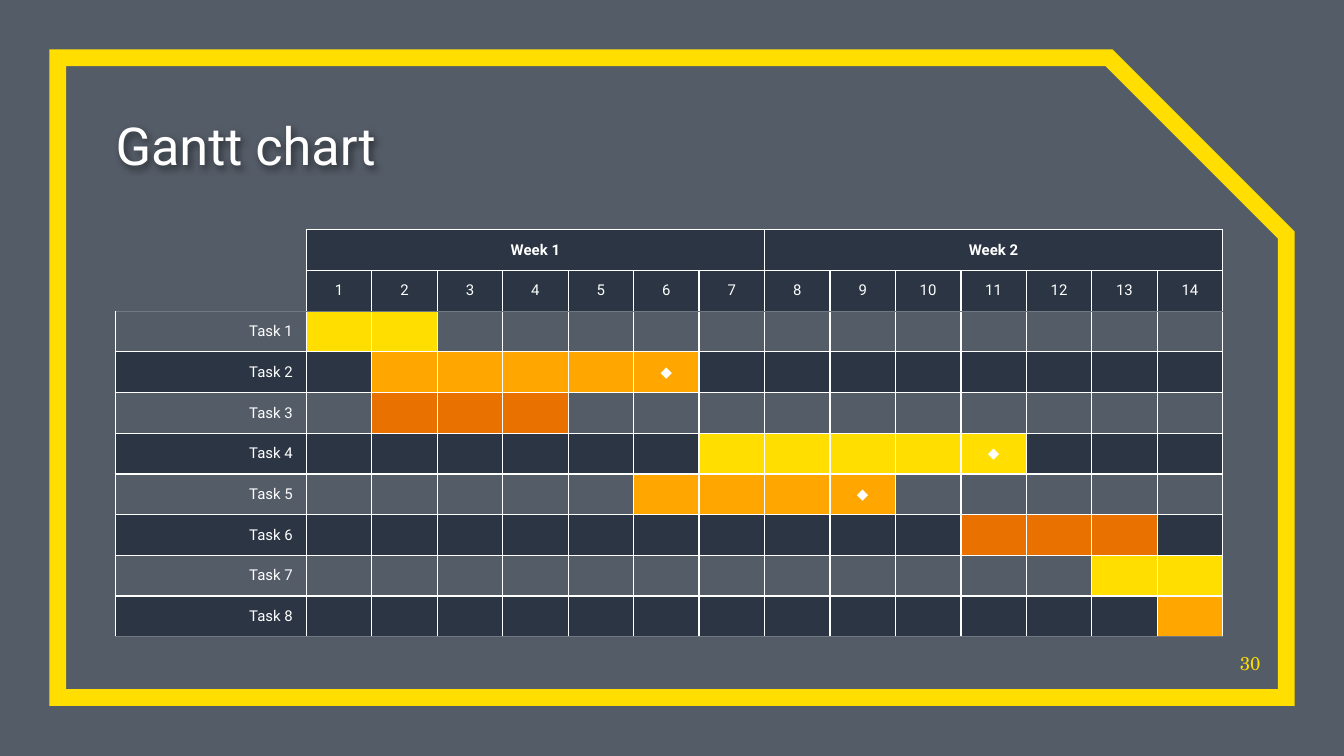
from lxml.etree import SubElement
from pptx import Presentation
from pptx.dml.color import RGBColor
from pptx.enum.shapes import MSO_SHAPE
from pptx.enum.text import MSO_ANCHOR, MSO_AUTO_SIZE, PP_ALIGN
from pptx.oxml.ns import qn
from pptx.util import Inches, Pt

TITLE = "Gantt chart"
PAGE = "30"
WEEKS = ["Week 1", "Week 2"]
DAYS_PER_WEEK = 7
DAYS = len(WEEKS) * DAYS_PER_WEEK
YELLOW, AMBER, ORANGE = "FFDE00", "FFA700", "E97100"
WHITE, NAVY, GREY = "FFFFFF", "040F20", "717881"
TASKS = [
    ("Task 1", 1, 2, YELLOW, None),
    ("Task 2", 2, 6, AMBER, 6),
    ("Task 3", 2, 4, ORANGE, None),
    ("Task 4", 7, 11, YELLOW, 11),
    ("Task 5", 6, 9, AMBER, 9),
    ("Task 6", 11, 13, ORANGE, None),
    ("Task 7", 13, 14, YELLOW, None),
    ("Task 8", 14, 14, AMBER, None),
]
HEADER_ROWS = 2
ROWS = HEADER_ROWS + len(TASKS)
WIDTH = 10
HEIGHT = WIDTH * 9 / 16
LEFT, TOP = 0.86, 1.71
LABEL_WIDTH, CHART_WIDTH, CHART_HEIGHT = 1.42, 8.24, 3.03


def rgb(color):
    return RGBColor.from_string(color)


def paint(fill, properties, color, alpha=100):
    fill.solid()
    fill.fore_color.rgb = rgb(color)
    if alpha < 100:
        tint = properties.find(qn("a:solidFill")).find(qn("a:srgbClr"))
        SubElement(tint, qn("a:alpha"), val=str(alpha * 1000))


def write(frame, text, size=8, font="Roboto", color=WHITE, bold=False,
          align=PP_ALIGN.LEFT):
    paragraph = frame.paragraphs[0]
    paragraph.alignment = align
    if not text:
        SubElement(paragraph._p, qn("a:endParaRPr"), sz=str(size * 100))
        return
    run = paragraph.add_run()
    run.text = text
    run.font.size = Pt(size)
    run.font.name = font
    run.font.bold = bold
    run.font.color.rgb = rgb(color)


def set_frame(frame):
    frame.margin_left = frame.margin_right = 0
    frame.margin_top = frame.margin_bottom = 0
    frame.vertical_anchor = MSO_ANCHOR.BOTTOM
    frame.word_wrap = True
    frame.auto_size = MSO_AUTO_SIZE.NONE


def set_borders(cell, **colors):
    properties = cell._tc.get_or_add_tcPr()
    for side in "LRTB":
        color = colors.get(side)
        line = SubElement(properties, qn(f"a:ln{side}"), w=str(Pt(0.75)))
        if color:
            solid = SubElement(line, qn("a:solidFill"))
            SubElement(solid, qn("a:srgbClr"), val=color)
        else:
            SubElement(line, qn("a:noFill"))


def cell_text(row, day):
    if row == 0:
        week, offset = divmod(day - 1, DAYS_PER_WEEK)
        return WEEKS[week] if day and offset == 0 else ""
    if row == 1:
        return str(day) if day else ""
    label, _, _, _, milestone = TASKS[row - HEADER_ROWS]
    if day == 0:
        return label
    return "◆" if day == milestone else ""


def cell_fill(row, day):
    if row < HEADER_ROWS:
        return (NAVY, 50) if day else None
    _, start, end, color, _ = TASKS[row - HEADER_ROWS]
    if start <= day <= end:
        return color, 100
    return (NAVY, 50) if row % 2 else None


def cell_borders(row, day):
    bottom = GREY if row in (HEADER_ROWS - 1, ROWS - 1) else WHITE
    if row < HEADER_ROWS and day == 0:
        return {"R": WHITE, "B": bottom if row else None}
    top = GREY if row == HEADER_ROWS else WHITE
    return {"L": WHITE, "R": WHITE, "T": top, "B": bottom}


def add_schedule(slide):
    table = slide.shapes.add_table(
        ROWS, DAYS + 1, Inches(LEFT), Inches(TOP),
        Inches(CHART_WIDTH), Inches(CHART_HEIGHT)).table
    table.first_row = table.horz_banding = False
    for row in table.rows:
        row.height = Inches(CHART_HEIGHT / ROWS)
    for day, column in enumerate(table.columns):
        day_width = (CHART_WIDTH - LABEL_WIDTH) / DAYS
        column.width = Inches(day_width if day else LABEL_WIDTH)
    for row in range(ROWS):
        for day in range(DAYS + 1):
            cell = table.cell(row, day)
            cell.vertical_anchor = MSO_ANCHOR.MIDDLE
            set_borders(cell, **cell_borders(row, day))
            fill = cell_fill(row, day)
            if fill:
                paint(cell.fill, cell._tc.tcPr, *fill)
            else:
                cell.fill.background()
            write(cell.text_frame, cell_text(row, day), bold=row == 0,
                  align=PP_ALIGN.CENTER if day else PP_ALIGN.RIGHT)
    for first in range(1, DAYS + 1, DAYS_PER_WEEK):
        table.cell(0, first).merge(table.cell(0, first + DAYS_PER_WEEK - 1))


def add_backdrop(slide):
    backdrop = slide.shapes.add_shape(
        MSO_SHAPE.RECTANGLE, 0, 0, Inches(WIDTH), Inches(HEIGHT))
    backdrop.shadow.inherit = False
    backdrop.line.fill.background()
    paint(backdrop.fill, backdrop._element.spPr, NAVY, 68)

    border = slide.shapes.add_shape(
        MSO_SHAPE.SNIP_1_RECTANGLE,
        Inches(0.43), Inches(0.43), Inches(9.14), Inches(4.76))
    border.adjustments[0] = 0.277
    border.shadow.inherit = False
    border.fill.background()
    border.line.color.rgb = rgb(YELLOW)
    border.line.width = Pt(9)
    SubElement(border.line._ln, qn("a:miter"), lim="800000")


def add_title(slide):
    title = slide.shapes.title
    slide.shapes._spTree.append(title._element)
    title.left, title.top = Inches(LEFT), Inches(0.78)
    title.width, title.height = Inches(7.35), Inches(0.53)
    set_frame(title.text_frame)
    write(title.text_frame, TITLE, size=28)
    effects = SubElement(title._element.spPr, qn("a:effectLst"))
    shadow = SubElement(effects, qn("a:outerShdw"), blurRad=str(Pt(4)),
                        dist=str(Pt(2)), dir="2700000")
    shade = SubElement(shadow, qn("a:srgbClr"), val="000000")
    SubElement(shade, qn("a:alpha"), val="50000")


def add_page_number(slide):
    page = slide.shapes.add_textbox(
        Inches(9.11), Inches(4.74), Inches(0.27), Inches(0.28))
    set_frame(page.text_frame)
    write(page.text_frame, PAGE, size=10, font="TeX Gyre Schola",
          color=YELLOW, align=PP_ALIGN.RIGHT)


def main():
    deck = Presentation()
    deck.slide_width, deck.slide_height = Inches(WIDTH), Inches(HEIGHT)
    slide = deck.slides.add_slide(deck.slide_layouts[5])
    add_backdrop(slide)
    add_title(slide)
    add_page_number(slide)
    add_schedule(slide)
    deck.save("out.pptx")


if __name__ == "__main__":
    main()
